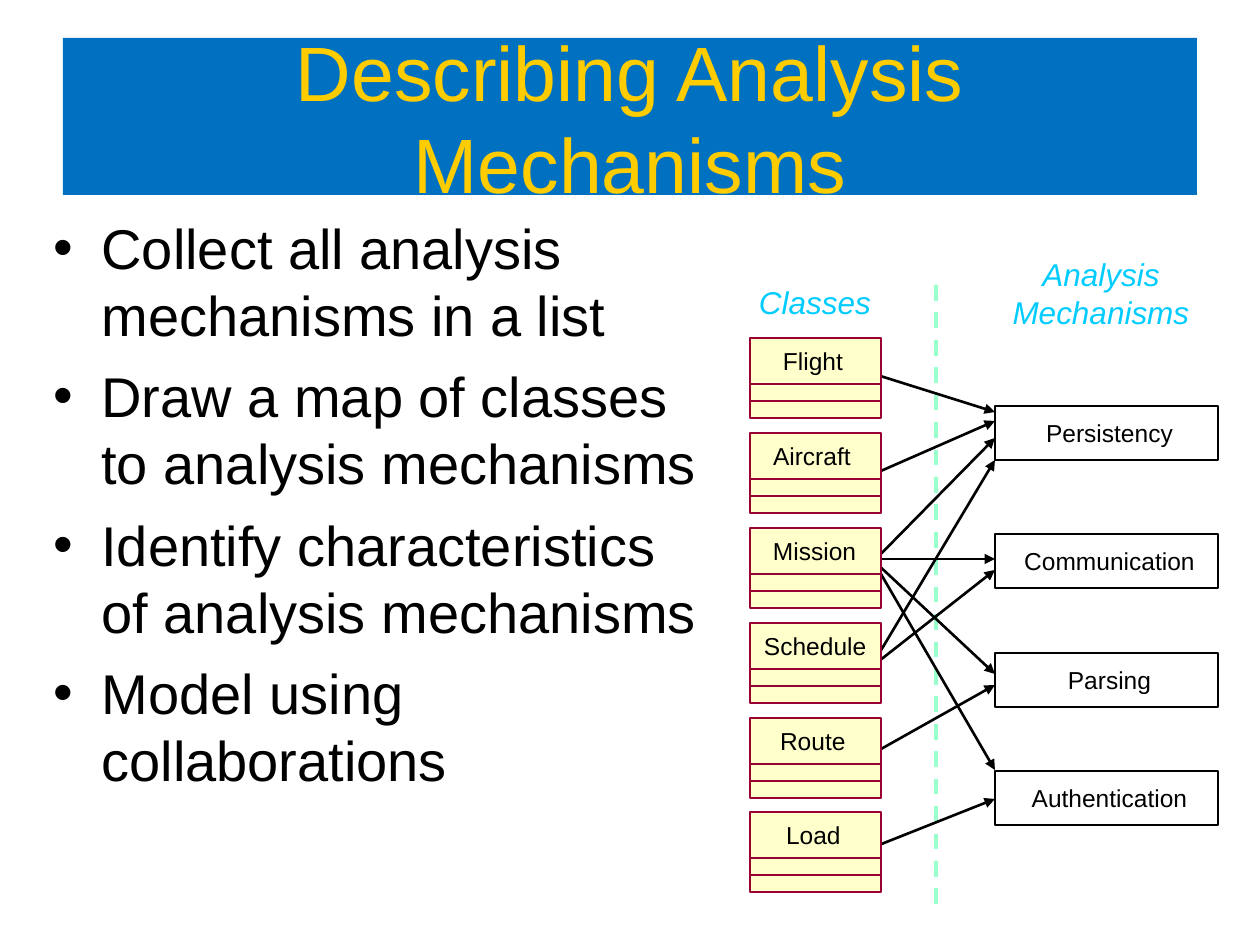
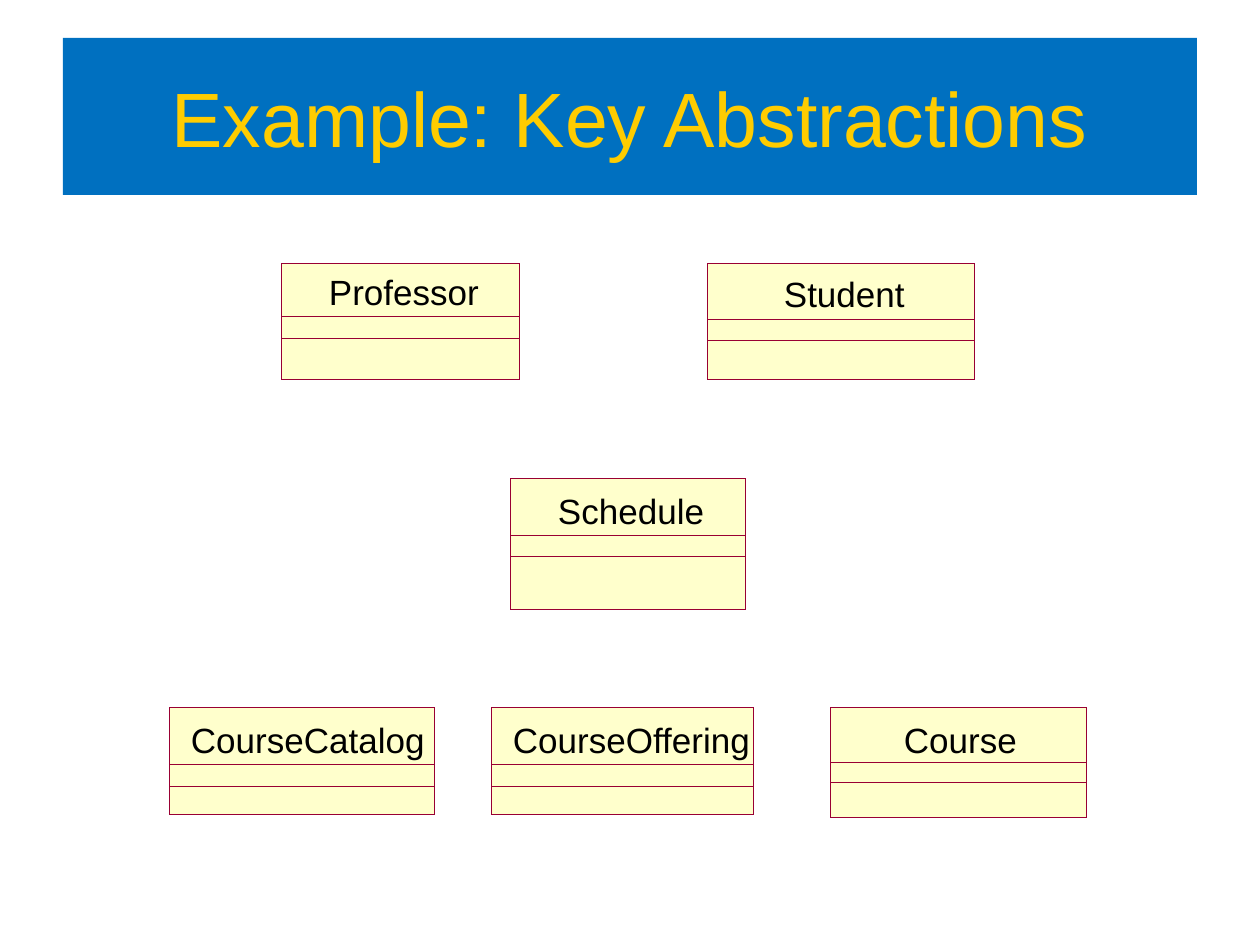
import pptx
import pptx.util
import pptx.dml.color
import pptx.enum.dml
import pptx.enum.shapes
import pptx.enum.text
import pptx.oxml
from pptx.oxml.ns import qn

RGB = pptx.dml.color.RGBColor
Pt = pptx.util.Pt
ALIGN = pptx.enum.text.PP_ALIGN
FIT = pptx.enum.text.MSO_AUTO_SIZE.SHAPE_TO_FIT_TEXT
MIDDLE = pptx.enum.text.MSO_ANCHOR.MIDDLE
RECT = pptx.enum.shapes.MSO_SHAPE.RECTANGLE
LINE = pptx.enum.shapes.MSO_CONNECTOR.STRAIGHT
DASH = pptx.enum.dml.MSO_LINE.DASH

BLUE = RGB(0x00, 0x70, 0xC0)
GOLD = RGB(0xFF, 0xCC, 0x00)
CYAN = RGB(0x00, 0xCC, 0xFF)
MINT = RGB(0x99, 0xFF, 0xCC)
CREAM = RGB(0xFF, 0xFF, 0xCC)
WINE = RGB(0x99, 0x00, 0x33)
BLACK = RGB(0, 0, 0)

TITLES = ["Describing Analysis Mechanisms", "Example: Key Abstractions"]
POINTS = [
    "Collect all analysis mechanisms in a list",
    "Draw a map of classes to analysis mechanisms",
    "Identify characteristics of analysis mechanisms",
    "Model using collaborations",
]
# heading: place, alignment
HEADS = {
    "Analysis Mechanisms": ((993, 248, 216, 90), ALIGN.CENTER),
    "Classes": ((744, 276, 144, 53), ALIGN.LEFT),
}
# class: name left, name width, arrows as (start y, end y)
CLASSES = {
    "Flight": (783, 61, [(374, 412)]),
    "Aircraft": (773, 78, [(474, 421)]),
    "Mission": (773, 83, [(562, 770), (561, 438), (559, 559), (561, 674)]),
    "Schedule": (764, 102, [(665, 570), (662, 460)]),
    "Route": (780, 66, [(753, 685)]),
    "Load": (786, 54, [(847, 799)]),
}
# mechanism: top of its box
MECHS = {"Persistency": 406, "Communication": 534,
         "Parsing": 653, "Authentication": 771}
# abstraction: card place, name left, top and width, head height
CARDS = {
    "Student": ((708, 263, 267, 117), (784, 272, 121), 57),
    "Professor": ((282, 263, 238, 117), (329, 270, 150), 54),
    "Schedule": ((510, 479, 236, 131), (558, 489, 146), 57),
    "CourseCatalog": ((170, 708, 265, 107), (191, 718, 234), 57),
    "Course": ((830, 708, 257, 110), (904, 718, 113), 54),
    "CourseOffering": ((492, 708, 262, 107), (513, 718, 238), 57),
}
SLOT = 21  # height of the attribute row on an abstraction card
SPARE = 16  # room to the right of a class name
BULLET = ('<a:{} xmlns:a="http://schemas.openxmlformats.org/'
          'drawingml/2006/main" {}/>')


def px(n):
    return round(n * 914400 / 126)


def style(item, values):
    for key, value in values.items():
        setattr(item, key, value)


def write(shape, lines, size, color, align=ALIGN.LEFT, pad=None, gap=0,
          bullet=False, italic=None, **frame):
    """Fill a shape with paragraphs; pad is (side, top) inset in px."""
    body = shape.text_frame
    style(body, {"word_wrap": True, **frame})
    if pad:
        side, top = map(px, pad)
        style(body, {"margin_left": side, "margin_right": side,
                     "margin_top": top, "margin_bottom": top})
    for i, line in enumerate(lines):
        para = body.paragraphs[0] if i == 0 else body.add_paragraph()
        para.text = line
        if bullet:
            props = para._p.get_or_add_pPr()
            props.set("marL", str(px(48)))
            props.set("indent", str(-px(48)))
            for tag, value in (("buFont", 'typeface="Arial"'),
                               ("buChar", 'char="•"')):
                props.append(pptx.oxml.parse_xml(BULLET.format(tag, value)))
        para.alignment = align
        if i and gap:
            para.space_before = Pt(gap)
        font = para.runs[0].font
        style(font, {"name": "Arial", "size": Pt(size), "italic": italic})
        font.color.rgb = color


def label(slide, place, lines, size, color=BLACK, **look):
    write(slide.shapes.add_textbox(*map(px, place)), lines, size, color, **look)


def name(slide, place, word, size):
    x, y, w, h = place
    label(slide, (x, y, w + SPARE, h), [word], size, pad=(0, 0))


def box(slide, place, fill=None, edge=None, width=0.75):
    shape = slide.shapes.add_shape(RECT, *map(px, place))
    shape.shadow.inherit = False
    if fill is None:
        shape.fill.background()
    else:
        shape.fill.solid()
        shape.fill.fore_color.rgb = fill
    if edge is None:
        shape.line.fill.background()
    else:
        shape.line.color.rgb = edge
        # a zero width must be stated, or the theme's width is used
        shape._element.spPr.find(qn("a:ln")).set("w", str(Pt(width)))
    return shape


def rule(slide, ends, color, width, dash=None, arrow=False):
    line = slide.shapes.add_connector(LINE, *map(px, ends))
    line.line.color.rgb = color
    style(line.line, {"width": Pt(width), "dash_style": dash})
    props = line._element.spPr
    if arrow:
        edge = props.find(qn("a:ln"))
        edge.append(edge.makeelement(qn("a:tailEnd"), {"type": "triangle"}))
    props.append(props.makeelement(qn("a:effectLst"), {}))


def start(deck, title):
    slide = deck.slides.add_slide(deck.slide_layouts[6])
    band = box(slide, (63, 38, 1134, 157), BLUE)
    write(band, [title], 44, GOLD, align=ALIGN.CENTER, vertical_anchor=MIDDLE)
    return slide


def draw_map(slide):
    """Classes on the left, tied by arrows to mechanisms on the right."""
    label(slide, (41, 207, 674, 696), POINTS, 32, gap=8, bullet=True)
    for head, (place, align) in HEADS.items():
        label(slide, place, [head], 18, CYAN, align=align, pad=(15, 7),
              italic=True, auto_size=FIT)
    rule(slide, (936, 285, 936, 915), MINT, 2.25, dash=DASH)
    for _, _, arrows in CLASSES.values():
        for y, end in arrows:
            rule(slide, (874, y, 995, end), BLACK, 1.5, arrow=True)
    for mech, top in MECHS.items():
        box(slide, (995, top, 223, 54), edge=BLACK)
        label(slide, (1000, top + 5, 219, 44), [mech], 14, align=ALIGN.CENTER,
              pad=(15, 7), auto_size=FIT)
    left, wide = 750, 131
    for i, (word, (x, w, _)) in enumerate(CLASSES.items()):
        top = round(338 + 94.9 * i)
        box(slide, (left, top, wide, 80), CREAM, WINE)
        for y in (top + 46, top + 63):
            rule(slide, (left, y, left + wide, y), WINE, 0.75)
        name(slide, (x, top + 8, w, 29), word, 14)


def draw_cards(slide):
    for word, ((x, y, w, h), (left, top, wide), head) in CARDS.items():
        box(slide, (x, y, w, h), CREAM, WINE, 0)
        name(slide, (left, top, wide, 42), word, 20)
        for drop in (head, head + SLOT):
            box(slide, (x, y + drop, w, h - drop), edge=WINE, width=0)


def main():
    deck = pptx.Presentation()
    style(deck, {"slide_width": px(1260), "slide_height": px(945)})
    for title, draw in zip(TITLES, (draw_map, draw_cards)):
        draw(start(deck, title))
    deck.save("out.pptx")


if __name__ == "__main__":
    main()
